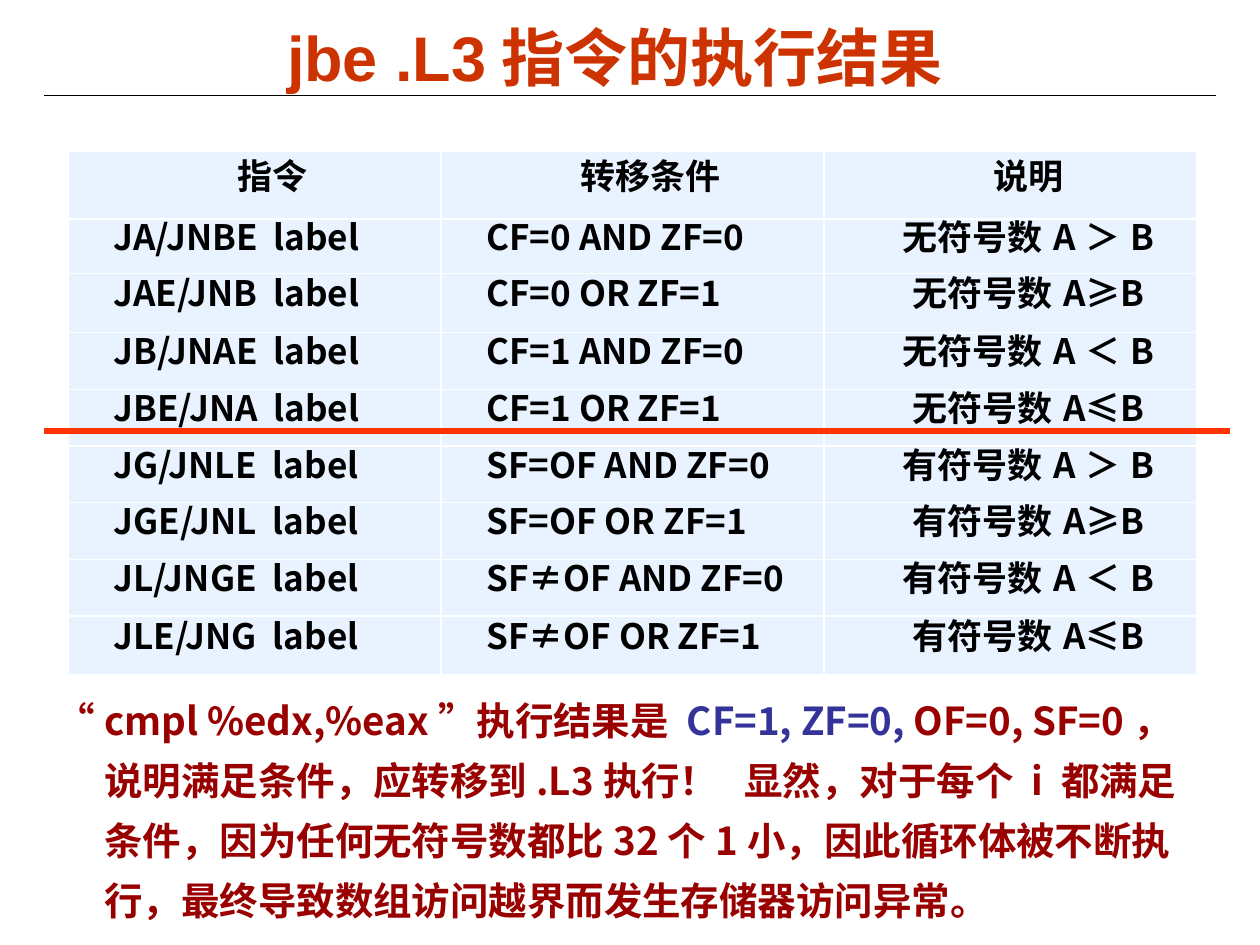
from dataclasses import dataclass

from lxml.etree import SubElement
from pptx import Presentation
from pptx.dml.color import RGBColor
from pptx.enum.shapes import MSO_CONNECTOR
from pptx.enum.text import MSO_ANCHOR, MSO_AUTO_SIZE, PP_ALIGN as Align
from pptx.oxml.ns import qn
from pptx.util import Inches, Pt


@dataclass(frozen=True)
class Theme:
    """Colours, fonts and type sizes of the slide."""
    title: str = "CC3300"
    ink: str = "000000"
    cell: str = "E8F3FF"
    white: str = "FFFFFF"
    divider: str = "FF3300"
    note: str = "990000"
    flags: str = "333399"
    latin: str = "Arial"
    cjk: str = "Noto Sans CJK SC"
    title_size: int = 36
    table_size: int = 20
    note_size: int = 22


@dataclass(frozen=True)
class Rule:
    """A horizontal line."""
    left: float
    right: float
    top: float
    color: str
    width: float


@dataclass(frozen=True)
class Jump:
    """One conditional jump instruction."""
    name: str
    condition: str
    meaning: str


THEME = Theme()
TITLE_RULE = Rule(0.35, 9.65, 0.76, THEME.ink, 0.75)
SIGN_DIVIDER = Rule(0.35, 9.76, 3.42, THEME.divider, 3)
HEADINGS = ("指令", "转移条件", "说明")
JUMPS = (
    Jump("JA/JNBE", "CF=0 AND ZF=0", "无符号数A>B"),
    Jump("JAE/JNB", "CF=0 OR ZF=1", "无符号数A≥B"),
    Jump("JB/JNAE", "CF=1 AND ZF=0", "无符号数A<B"),
    Jump("JBE/JNA", "CF=1 OR ZF=1", "无符号数A≤B"),
    Jump("JG/JNLE", "SF=OF AND ZF=0", "有符号数A>B"),
    Jump("JGE/JNL", "SF=OF OR ZF=1", "有符号数A≥B"),
    Jump("JL/JNGE", "SF≠OF AND ZF=0", "有符号数A<B"),
    Jump("JLE/JNG", "SF≠OF OR ZF=1", "有符号数A≤B"),
)
COLUMN_WIDTHS = (2.96, 3.04, 2.96)
ROW_HEIGHTS = (0.54, 0.43, 0.47, 0.45, 0.45, 0.45, 0.45, 0.45, 0.47)
NOTE = (
    ("“cmpl %edx,%eax”执行结果是 ", THEME.note),
    ("CF=1, ZF=0, ", THEME.flags),
    ("OF=0, SF=0,说明满足条件,应转移到.L3执行!   显然,对于每个 i 都满足条件,"
     "因为任何无符号数都比32个1小,因此循环体被不断执行,"
     "最终导致数组访问越界而发生存储器访问异常。", THEME.note),
)
FULL_WIDTH = str.maketrans({">": "\uff1e", "<": "\uff1c"})
FULL_WIDTH_NOTE = str.maketrans({"!": "\uff01"})


def add_text(para, text: str, *, size: int, color: str, font: str = THEME.cjk) -> None:
    """Append a bold span with its format to a paragraph."""
    span = para.add_run()
    span.text = text
    span.font.size = Pt(size)
    span.font.bold = True
    span.font.color.rgb = RGBColor.from_string(color)
    span.font.name = font
    properties = span.font._element
    properties.set("lang", "zh-CN")
    SubElement(properties, qn("a:ea")).set("typeface", THEME.cjk)


def set_indent(para, left: float, first: float) -> None:
    """Set the left margin and first-line indent in inches."""
    properties = para._p.get_or_add_pPr()
    properties.set("marL", str(Inches(left)))
    properties.set("indent", str(Inches(first)))


def add_rule(page, rule: Rule) -> None:
    """Draw a horizontal line without a shadow."""
    line = page.shapes.add_connector(
        MSO_CONNECTOR.STRAIGHT, Inches(rule.left), Inches(rule.top),
        Inches(rule.right), Inches(rule.top))
    line.line.color.rgb = RGBColor.from_string(rule.color)
    line.line.width = Pt(rule.width)
    SubElement(line._element.spPr, qn("a:effectLst"))


def add_title(page, text: str) -> None:
    """Place and format the title placeholder."""
    title = page.shapes.title
    title.left, title.top = Inches(1.8), Inches(0.16)
    title.width, title.height = Inches(6.16), Inches(0.58)
    frame = title.text_frame
    frame.vertical_anchor = MSO_ANCHOR.MIDDLE
    frame.auto_size = MSO_AUTO_SIZE.NONE
    para = frame.paragraphs[0]
    para.alignment = Align.CENTER
    add_text(para, text, size=THEME.title_size, color=THEME.title, font=THEME.latin)


def style_cell(cell) -> None:
    """Give a cell its margins, white borders and fill."""
    cell.margin_left = cell.margin_right = Inches(0.07)
    cell.margin_top = cell.margin_bottom = 0
    cell.vertical_anchor = MSO_ANCHOR.MIDDLE
    properties = cell._tc.get_or_add_tcPr()
    for side in ("lnL", "lnR", "lnT", "lnB"):
        border = SubElement(properties, qn(f"a:{side}"), w=str(Pt(1)))
        fill = SubElement(border, qn("a:solidFill"))
        SubElement(fill, qn("a:srgbClr"), val=THEME.white)
    cell.fill.solid()
    cell.fill.fore_color.rgb = RGBColor.from_string(THEME.cell)


def add_jump_table(page) -> None:
    """Build the table of jumps, conditions and meanings."""
    rows = [HEADINGS] + [
        (f"{jump.name}  label", jump.condition, jump.meaning.translate(FULL_WIDTH))
        for jump in JUMPS]
    table = page.shapes.add_table(
        len(rows), len(HEADINGS), Inches(0.54), Inches(1.2),
        Inches(sum(COLUMN_WIDTHS)), Inches(sum(ROW_HEIGHTS))).table
    for column, width in zip(table.columns, COLUMN_WIDTHS):
        column.width = Inches(width)
    for row, height in zip(table.rows, ROW_HEIGHTS):
        row.height = Inches(height)
    for row_index, row in enumerate(rows):
        for column_index, text in enumerate(row):
            cell = table.cell(row_index, column_index)
            style_cell(cell)
            para = cell.text_frame.paragraphs[0]
            centred = row_index == 0 or column_index == 2
            para.alignment = Align.CENTER if centred else Align.JUSTIFY
            para.line_spacing = Pt(16)
            para.space_before = Pt(6)
            set_indent(para, 0, 0.29)
            add_text(para, text, size=THEME.table_size, color=THEME.ink)


def add_note(page) -> None:
    """Write the explanation below the table."""
    box = page.shapes.add_textbox(Inches(0.38), Inches(5.39), Inches(9.24), Inches(1.96))
    box.fill.solid()
    box.fill.fore_color.rgb = RGBColor.from_string(THEME.white)
    frame = box.text_frame
    frame.word_wrap = True
    frame.auto_size = MSO_AUTO_SIZE.SHAPE_TO_FIT_TEXT
    frame.margin_left = frame.margin_right = Inches(0.07)
    frame.margin_top = frame.margin_bottom = Inches(0.03)
    para = frame.paragraphs[0]
    para.line_spacing = 1.3
    set_indent(para, 0.38, -0.38)
    for text, color in NOTE:
        wide = text.translate(FULL_WIDTH_NOTE)
        if "SF=0" in text:
            wide = wide.replace(",", "\uff0c").replace("OF=0\uff0c", "OF=0,")
        add_text(para, wide, size=THEME.note_size, color=color)


def main() -> None:
    """Build and save the slide."""
    deck = Presentation()
    deck.slide_width, deck.slide_height = Inches(10), Inches(7.5)
    page = deck.slides.add_slide(deck.slide_layouts[5])
    add_rule(page, TITLE_RULE)
    add_title(page, "jbe .L3指令的执行结果")
    add_jump_table(page)
    add_rule(page, SIGN_DIVIDER)
    add_note(page)
    deck.save("out.pptx")


main()
